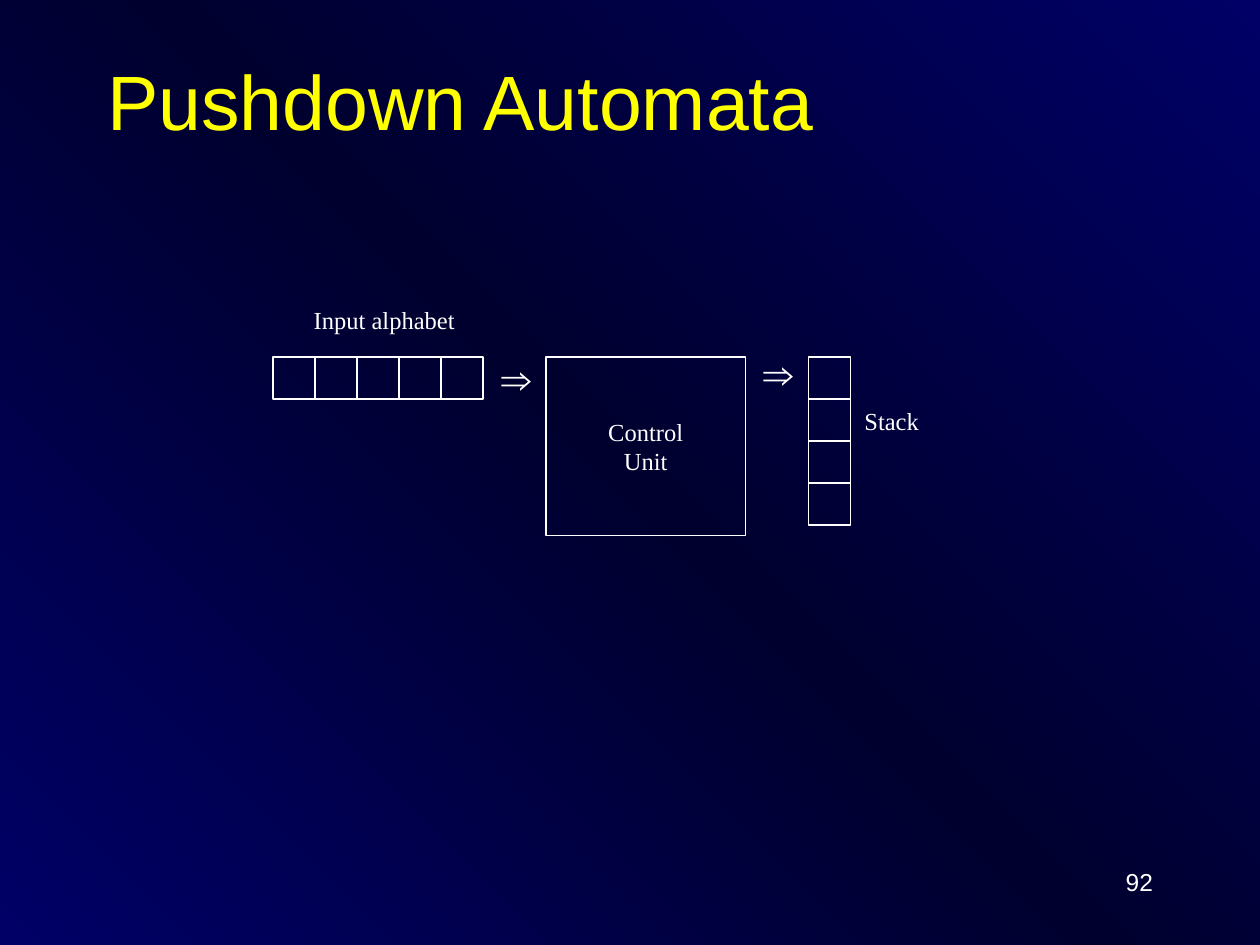
"""Build the Pushdown Automata slide on a grid of one-third-inch cells."""
from copy import deepcopy
from dataclasses import dataclass

from pptx import Presentation, util as u
from pptx.dml.color import RGBColor
from pptx.enum import shapes, text
from pptx.oxml.ns import qn


@dataclass(frozen=True)
class Theme:
    """Colours, fonts and type sizes."""
    edge: RGBColor = RGBColor(0x00, 0x00, 0x66)
    middle: RGBColor = RGBColor(0x00, 0x00, 0x2F)
    accent: RGBColor = RGBColor(0xFF, 0xFF, 0x00)
    ink: RGBColor = RGBColor(0xFF, 0xFF, 0xFF)
    sans: str = "Arial"
    serif: str = "Times New Roman"
    title_size: int = 44
    arrow_size: int = 24
    label_size: int = 14
    line_width: float = 0.75


@dataclass(frozen=True)
class Area:
    """A rectangle in grid columns and rows."""
    column: float
    row: float
    columns: float = 1
    rows: float = 1

    def lengths(self) -> list[int]:
        """Return left, top, width and height."""
        return [int(CELL * n) for n in (self.column, self.row, self.columns, self.rows)]


@dataclass(frozen=True)
class Label:
    """Text with its place and style."""
    area: Area
    wording: str
    font: str
    size: int
    wraps: bool = False
    align: text.PP_ALIGN = text.PP_ALIGN.CENTER
    anchor: text.MSO_ANCHOR = text.MSO_ANCHOR.MIDDLE
    fit: text.MSO_AUTO_SIZE = text.MSO_AUTO_SIZE.SHAPE_TO_FIT_TEXT


THEME = Theme()
CELL = u.Inches(10) / 30
TAPE_ROW = 8.5
TAPE = [Area(6.5 + i, TAPE_ROW) for i in range(5)]
STACK = [Area(19.25, TAPE_ROW + i) for i in range(4)]
CONTROL = Label(Area(13, TAPE_ROW, 4.75, 4.25), "Control\nUnit", THEME.serif,
                THEME.label_size, fit=text.MSO_AUTO_SIZE.NONE)
TITLE = Label(Area(2.25, 0.5, 25.5, 3.75), "Pushdown Automata", THEME.sans,
              THEME.title_size, True, text.PP_ALIGN.LEFT, fit=text.MSO_AUTO_SIZE.NONE)
LABELS = [
    Label(Area(11.5, 8.25, 1.6, 1.5), "⇒", THEME.sans, THEME.arrow_size, True),
    Label(Area(7.17, 7.11, 3.96, 1.02), "Input alphabet", THEME.serif, THEME.label_size),
    Label(Area(17.75, 8.13, 1.6, 1.5), "⇒", THEME.sans, THEME.arrow_size, True),
    Label(Area(20.28, 9.51, 1.9, 1.02), "Stack", THEME.serif, THEME.label_size),
    Label(Area(21.5, 20.5, 6.25, 1.5), "92", THEME.sans, THEME.label_size, True,
          text.PP_ALIGN.RIGHT, text.MSO_ANCHOR.TOP, text.MSO_AUTO_SIZE.NONE),
]


def paint_background(slide) -> None:
    """Fill the background with a dark diagonal band."""
    fill = slide.background.fill
    fill.gradient()
    fill.gradient_angle = 225
    stop_list = next(slide.element.iter(qn("a:gsLst")))
    stop_list.append(deepcopy(stop_list[0]))
    colors = (THEME.edge, THEME.middle, THEME.edge)
    for stop, position, color in zip(fill.gradient_stops, (0, 0.5, 1), colors):
        stop.position = position
        stop.color.rgb = color


def write_label(shape, label: Label, color: RGBColor = THEME.ink) -> None:
    """Write the label's text into a shape."""
    frame = shape.text_frame
    frame.word_wrap = label.wraps
    frame.auto_size = label.fit
    frame.vertical_anchor = label.anchor
    paragraph = frame.paragraphs[0]
    paragraph.alignment = label.align
    for index, line in enumerate(label.wording.split("\n")):
        if index:
            paragraph.add_line_break()
        run = paragraph.add_run()
        run.text = line
        run.font.name = label.font
        run.font.size = u.Pt(label.size)
        run.font.color.rgb = color


def add_box(slide, area: Area):
    """Add an outlined rectangle."""
    shape = slide.shapes.add_shape(shapes.MSO_SHAPE.RECTANGLE, *area.lengths())
    shape.shadow.inherit = False
    shape.fill.background()
    shape.line.color.rgb = THEME.ink
    shape.line.width = u.Pt(THEME.line_width)
    return shape


def main() -> None:
    """Build and save the presentation."""
    presentation = Presentation()
    presentation.slide_width, presentation.slide_height = u.Inches(10), u.Inches(7.5)
    slide = presentation.slides.add_slide(presentation.slide_layouts[5])
    paint_background(slide)
    title = slide.shapes.title
    title.left, title.top, title.width, title.height = TITLE.area.lengths()
    write_label(title, TITLE, THEME.accent)
    for area in TAPE + STACK:
        add_box(slide, area)
    write_label(add_box(slide, CONTROL.area), CONTROL)
    for label in LABELS:
        write_label(slide.shapes.add_textbox(*label.area.lengths()), label)
    presentation.save("out.pptx")


if __name__ == "__main__":
    main()
